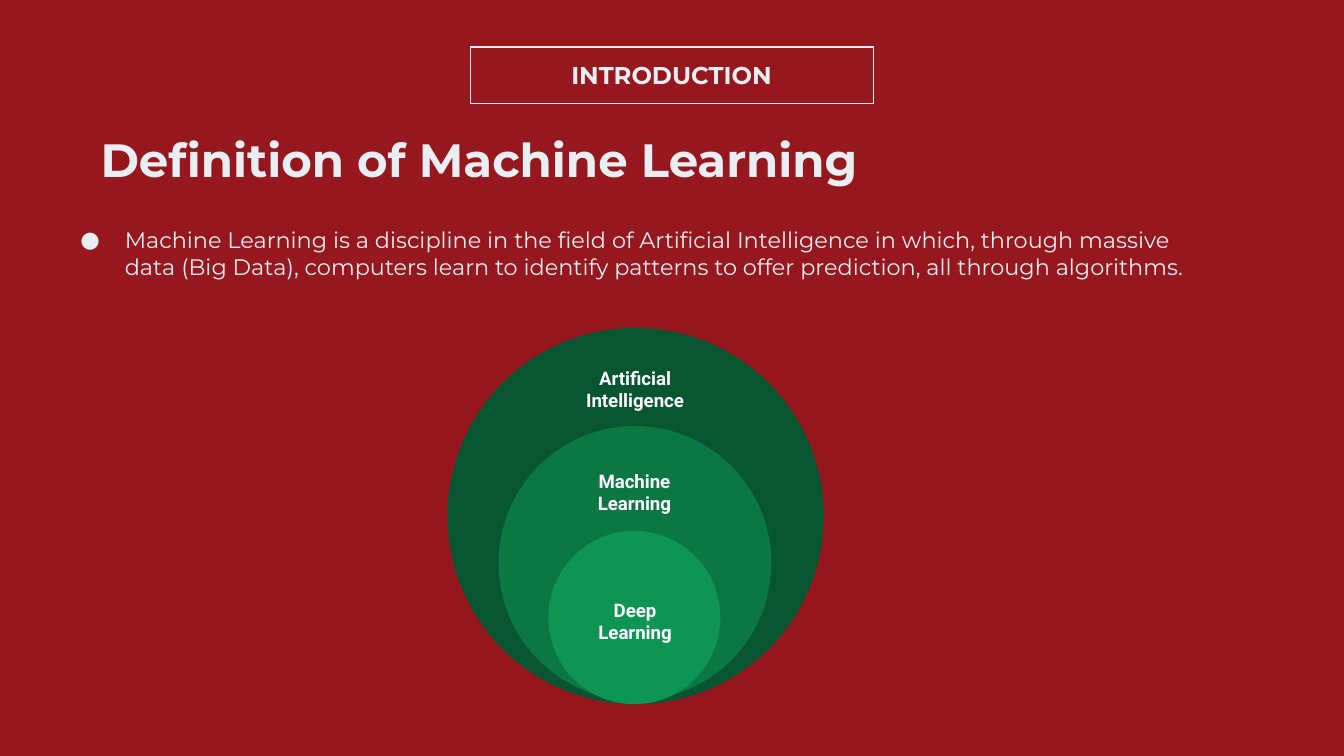
import pptx
import pptx.dml.color
import pptx.enum.shapes
import pptx.enum.text
import pptx.oxml
import pptx.oxml.ns
import pptx.util
from pptx.util import Inches

RED = pptx.dml.color.RGBColor(0x97, 0x17, 0x1E)
PALE = pptx.dml.color.RGBColor(0xE8, 0xEE, 0xF2)
WHITE = pptx.dml.color.RGBColor(0xFF, 0xFF, 0xFF)
DARK_GREEN = pptx.dml.color.RGBColor(0x08, 0x56, 0x31)
MID_GREEN = pptx.dml.color.RGBColor(0x0B, 0x77, 0x43)
LIGHT_GREEN = pptx.dml.color.RGBColor(0x0E, 0x94, 0x53)

ALIGN = pptx.enum.text.PP_ALIGN
ANCHOR = pptx.enum.text.MSO_ANCHOR
SHAPE = pptx.enum.shapes.MSO_SHAPE

DEFINITION = (
    "Machine Learning is a discipline in the field of Artificial Intelligence in which, "
    "through massive data (Big Data), computers learn to identify patterns to offer "
    "prediction, all through algorithms."
)
CIRCLES = [
    ((3.33, 2.44, 2.8, 2.8), DARK_GREEN, "Artificial Intelligence", (4.04, 2.65, 1.37, 0.49)),
    ((3.71, 3.17, 2.03, 2.04), MID_GREEN, "Machine Learning", (4.08, 3.43, 1.28, 0.46)),
    ((4.08, 3.95, 1.28, 1.29), LIGHT_GREEN, "Deep Learning", (4.19, 4.34, 1.07, 0.56)),
]


def add_text(slide, box, text, size, font="Montserrat", color=PALE, bold=True,
             align=ALIGN.LEFT, anchor=ANCHOR.TOP):
    """Add a wrapped one-paragraph text box and return its text frame."""
    frame = slide.shapes.add_textbox(*map(Inches, box)).text_frame
    frame.word_wrap = True
    frame.vertical_anchor = anchor
    frame.margin_left = frame.margin_right = Inches(0.1)
    frame.margin_top = frame.margin_bottom = Inches(0.1)
    frame.text = text
    paragraph = frame.paragraphs[0]
    paragraph.alignment = align
    run_font = paragraph.runs[0].font
    run_font.name = font
    run_font.size = pptx.util.Pt(size)
    run_font.bold = bold
    run_font.color.rgb = color
    return frame


def add_bullet(paragraph):
    """Give a paragraph a round pale bullet with a hanging indent."""
    properties = paragraph._p.get_or_add_pPr()
    properties.set("marL", str(Inches(0.5)))
    properties.set("indent", str(Inches(-0.33)))
    namespace = pptx.oxml.ns.nsdecls("a")
    for xml in (
        f'<a:buClr {namespace}><a:srgbClr val="{PALE}"/></a:buClr>',
        f'<a:buFont {namespace} typeface="Montserrat"/>',
        f'<a:buChar {namespace} char="●"/>',
    ):
        properties.append(pptx.oxml.parse_xml(xml))


def add_frame(slide, box):
    """Add an unfilled rectangle with a thin pale outline."""
    shape = slide.shapes.add_shape(SHAPE.RECTANGLE, *map(Inches, box))
    shape.shadow.inherit = False
    shape.fill.background()
    shape.line.color.rgb = PALE
    shape.line.width = pptx.util.Pt(0.75)


def add_circle(slide, box, color, label, label_box):
    """Add a filled circle and its centred label."""
    shape = slide.shapes.add_shape(SHAPE.OVAL, *map(Inches, box))
    shape.shadow.inherit = False
    shape.fill.solid()
    shape.fill.fore_color.rgb = color
    shape.line.fill.background()
    add_text(slide, label_box, label, 10, "Roboto", WHITE,
             align=ALIGN.CENTER, anchor=ANCHOR.MIDDLE)


def main():
    """Build the slide and save it."""
    presentation = pptx.Presentation()
    presentation.slide_width = Inches(10)
    presentation.slide_height = Inches(10) * 9 // 16
    slide = presentation.slides.add_slide(presentation.slide_layouts[6])
    slide.background.fill.solid()
    slide.background.fill.fore_color.rgb = RED

    add_frame(slide, (3.5, 0.35, 3, 0.42))
    add_text(slide, (3.75, 0.35, 2.49, 0.42), "INTRODUCTION", 13, align=ALIGN.CENTER)
    add_text(slide, (0.65, 0.87, 6.96, 0.62), "Definition of Machine Learning", 25)
    body = add_text(slide, (0.33, 1.23, 8.71, 2.42), DEFINITION, 12, bold=False)
    body.margin_top = Inches(0.6)
    add_bullet(body.paragraphs[0])
    for circle in CIRCLES:
        add_circle(slide, *circle)

    presentation.save("out.pptx")


if __name__ == "__main__":
    main()
